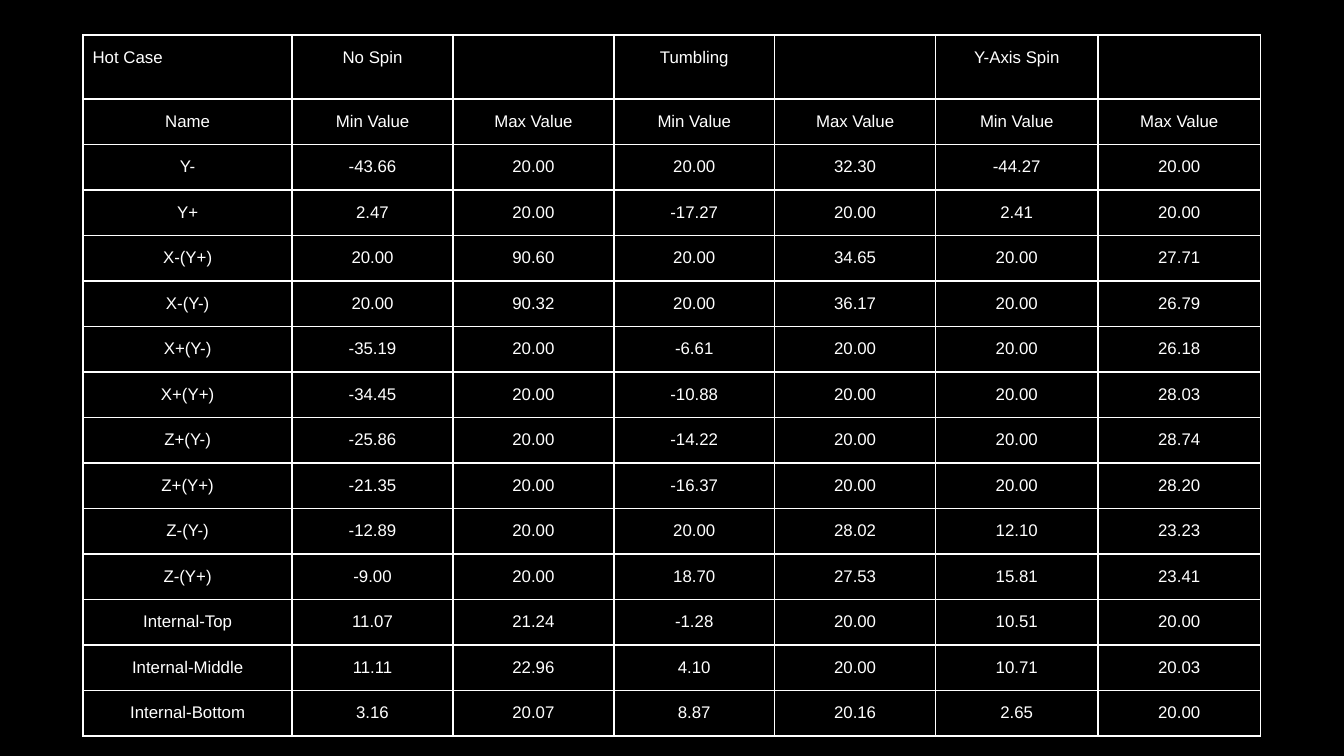
from lxml import etree
from pptx import Presentation
from pptx.dml.color import RGBColor
from pptx.enum.text import PP_ALIGN
from pptx.oxml.ns import qn
from pptx.util import Cm, Pt

LEFT, CENTER = PP_ALIGN.LEFT, PP_ALIGN.CENTER

COLORS = {"background": "000000", "text": "FFFFFF", "border": "FFFFFF"}
FONT_NAME, FONT_SIZE = "Arial", Pt(9)

# Content: temperature range per node, for each spin mode
CASE = "Hot Case"
SPIN_MODES = ["No Spin", "Tumbling", "Y-Axis Spin"]
RANGES = [
    ("Y-", -43.66, 20.00, 20.00, 32.30, -44.27, 20.00),
    ("Y+", 2.47, 20.00, -17.27, 20.00, 2.41, 20.00),
    ("X-(Y+)", 20.00, 90.60, 20.00, 34.65, 20.00, 27.71),
    ("X-(Y-)", 20.00, 90.32, 20.00, 36.17, 20.00, 26.79),
    ("X+(Y-)", -35.19, 20.00, -6.61, 20.00, 20.00, 26.18),
    ("X+(Y+)", -34.45, 20.00, -10.88, 20.00, 20.00, 28.03),
    ("Z+(Y-)", -25.86, 20.00, -14.22, 20.00, 20.00, 28.74),
    ("Z+(Y+)", -21.35, 20.00, -16.37, 20.00, 20.00, 28.20),
    ("Z-(Y-)", -12.89, 20.00, 20.00, 28.02, 12.10, 23.23),
    ("Z-(Y+)", -9.00, 20.00, 18.70, 27.53, 15.81, 23.41),
    ("Internal-Top", 11.07, 21.24, -1.28, 20.00, 10.51, 20.00),
    ("Internal-Middle", 11.11, 22.96, 4.10, 20.00, 10.71, 20.03),
    ("Internal-Bottom", 3.16, 20.07, 8.87, 20.16, 2.65, 20.00),
]

# Table layout in centimetres
TABLE_LEFT, TABLE_TOP = 1.57, 0.66
COLUMN_WIDTHS = [3.95] + [3.04] * 4 + [3.07] * 2
HEADER_HEIGHT, ROW_HEIGHT = 1.21, 0.86
MARGIN_X, MARGIN_Y = Cm(0.18), Cm(0.25)


def table_rows():
    modes = [CASE]
    for mode in SPIN_MODES:
        modes += [mode, ""]
    names = ["Name"] + ["Min Value", "Max Value"] * len(SPIN_MODES)
    values = [[name] + [f"{value:.2f}" for value in row] for name, *row in RANGES]
    return [modes, names] + values


def add_borders(cell):
    properties = cell._tc.get_or_add_tcPr()
    for index, side in enumerate(("a:lnL", "a:lnR", "a:lnT", "a:lnB")):
        line = etree.Element(qn(side), w=str(Pt(1)))
        fill = etree.SubElement(line, qn("a:solidFill"))
        etree.SubElement(fill, qn("a:srgbClr"), val=COLORS["border"])
        properties.insert(index, line)


def format_cell(cell, text, alignment):
    cell.text = text
    cell.margin_left = cell.margin_right = MARGIN_X
    cell.margin_top = cell.margin_bottom = MARGIN_Y
    cell.fill.background()
    add_borders(cell)
    paragraph = cell.text_frame.paragraphs[0]
    paragraph.alignment = alignment
    paragraph.font.name = FONT_NAME
    paragraph.font.size = FONT_SIZE
    paragraph.font.color.rgb = RGBColor.from_string(COLORS["text"])


def main():
    presentation = Presentation()
    presentation.slide_width, presentation.slide_height = Cm(25.4), Cm(14.29)

    # Slide with a plain background
    slide = presentation.slides.add_slide(presentation.slide_layouts[6])
    slide.background.fill.solid()
    slide.background.fill.fore_color.rgb = RGBColor.from_string(COLORS["background"])

    # Table grid
    rows = table_rows()
    row_heights = [HEADER_HEIGHT] + [ROW_HEIGHT] * (len(rows) - 1)
    table = slide.shapes.add_table(
        len(rows), len(COLUMN_WIDTHS), Cm(TABLE_LEFT), Cm(TABLE_TOP),
        Cm(sum(COLUMN_WIDTHS)), Cm(sum(row_heights))).table
    table.first_row = table.horz_banding = False
    for column, width in zip(table.columns, COLUMN_WIDTHS):
        column.width = Cm(width)
    for row, height in zip(table.rows, row_heights):
        row.height = Cm(height)

    # Cells: everything centred except the case name
    for row, texts in zip(table.rows, rows):
        for cell, text in zip(row.cells, texts):
            format_cell(cell, text, LEFT if text == CASE else CENTER)

    presentation.save("out.pptx")


if __name__ == "__main__":
    main()
